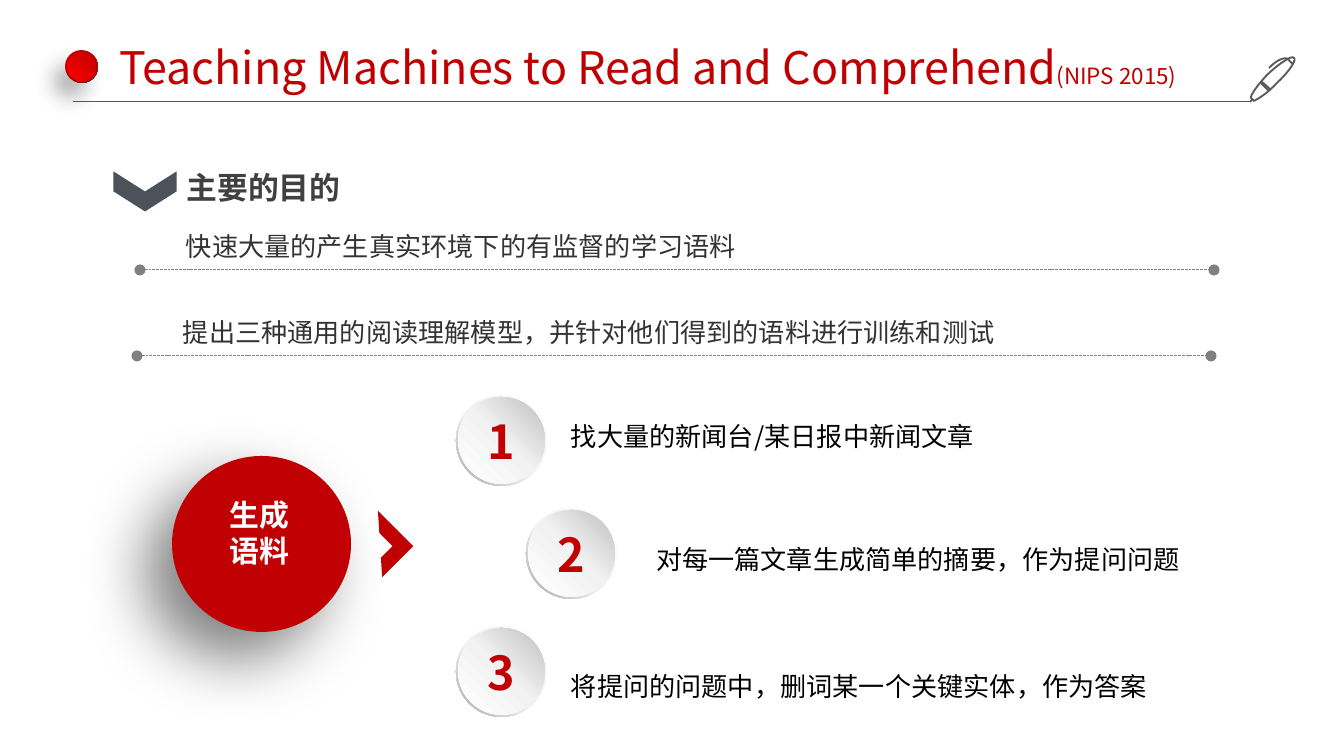
from lxml import etree
from pptx import Presentation, util as u
from pptx.dml.color import RGBColor
from pptx.enum import shapes, text
from pptx.oxml import parse_xml
from pptx.oxml.ns import nsdecls, qn

SCALE = 914400 / 134.4
FONT = "Noto Sans CJK SC"
C = {"red": "C00000", "crimson": "C00002", "bright": "FF0000", "slate": "4B525A",
     "rule": "595959", "dark": "262626", "dots": "808080", "heading": "404040",
     "body": "333333", "black": "000000", "white": "FFFFFF", "pale": "F2F2F2",
     "silver": "BFBFBF", "grey": "A6A6A6"}
SHAPE = shapes.MSO_SHAPE
ALIGN = text.PP_ALIGN

# Each stroke: a start point, then pieces of one point (line) or three (cubic curve).
PEN = [
    ((19, 36), [((11, 28),)]),
    ((12, 27), [((20, 34),)]),
    ((44, 3), [((42, 0), (30, 8), (17, 20)), ((8, 30), (1, 39), (1, 43)), ((4, 46),),
               ((8, 44), (17, 39), (27, 28)), ((39, 17), (47, 5), (44, 3))]),
    ((3, 44), [((0, 47),)]),
    ((43, 9), [((43, 9), (40, 7), (38, 4)), ((38, 4), (32, 0), (19, 13))]),
]


def px(n):
    return u.Emu(round(n * SCALE))


def rgb(name):
    return RGBColor.from_string(C[name])


def add_shape(parent, kind, x, y, w, h, color=None):
    sp = parent.add_shape(kind, px(x), px(y), px(w), px(h))
    sp.shadow.inherit = False
    sp.line.fill.background()
    if color:
        sp.fill.solid()
        sp.fill.fore_color.rgb = rgb(color)
    return sp


def set_gradient(sp, stops, angle=None):
    """Linear at a clockwise angle, or circular from the top right corner without one."""
    gs = "".join(f'<a:gs pos="{pos * 1000}"><a:srgbClr val="{C[name]}"/></a:gs>'
                 for pos, name in stops)
    if angle is None:
        way = '<a:path path="circle"><a:fillToRect l="100000" b="100000"/></a:path>'
    else:
        way = f'<a:lin ang="{angle * 60000}" scaled="0"/>'
    fill = parse_xml(f'<a:gradFill {nsdecls("a")} rotWithShape="1">'
                     f'<a:gsLst>{gs}</a:gsLst>{way}</a:gradFill>')
    sp._element.spPr.find(qn("a:prstGeom")).addnext(fill)


def set_shadow(sp, alpha, blur, dist, angle):
    effects = sp._element.spPr.find(qn("a:effectLst"))
    effects.append(parse_xml(
        f'<a:outerShdw {nsdecls("a")} blurRad="{u.Pt(blur)}" dist="{u.Pt(dist)}" '
        f'dir="{angle * 60000}" algn="ctr" rotWithShape="0"><a:srgbClr val="{C["black"]}">'
        f'<a:alpha val="{alpha * 1000}"/></a:srgbClr></a:outerShdw>'))


def style_run(r, size, color, bold=False):
    r.font.size, r.font.bold, r.font.name = u.Pt(size), bold, FONT
    r.font.color.rgb = rgb(color)
    etree.SubElement(r._r.get_or_add_rPr(), qn("a:ea")).set("typeface", FONT)


def add_text(s, words, x, y, w, h, size, color, bold=False, align=ALIGN.LEFT,
             spacing=None, inset=(10, 5)):
    tf = s.shapes.add_textbox(px(x), px(y), px(w), px(h)).text_frame
    tf.word_wrap = True
    tf.auto_size = text.MSO_AUTO_SIZE.SHAPE_TO_FIT_TEXT
    tf.margin_left = tf.margin_right = px(inset[0])
    tf.margin_top = tf.margin_bottom = px(inset[1])
    p = tf.paragraphs[0]
    p.text, p.alignment, p.line_spacing = words, align, spacing
    style_run(p.runs[0], size, color, bold)
    return p


def add_line(s, x1, x2, y, color):
    cx = s.shapes.add_connector(shapes.MSO_CONNECTOR.STRAIGHT, px(x1), px(y), px(x2), px(y))
    cx.line.color.rgb = rgb(color)
    cx.line.width = u.Pt(0.5)
    etree.SubElement(cx._element.spPr, qn("a:effectLst"))
    return cx


def pen(s, x, y):
    builder = None
    for start, pieces in PEN:
        points, last = [], start
        for piece in pieces:
            if len(piece) == 1:
                points.append(piece[0])
            else:
                for t in (i / 10 for i in range(1, 11)):
                    weights = ((1 - t) ** 3, 3 * t * (1 - t) ** 2, 3 * t * t * (1 - t), t ** 3)
                    points.append([sum(k * pt[axis] for k, pt in zip(weights, (last, *piece)))
                                   for axis in (0, 1)])
            last = piece[-1]
        if builder is None:
            builder = s.shapes.build_freeform(px(start[0]), px(start[1]))
        else:
            builder.move_to(px(start[0]), px(start[1]))
        builder.add_line_segments([(px(a), px(b)) for a, b in points], close=False)
    sp = builder.convert_to_shape(px(x), px(y))
    sp.shadow.inherit = False
    sp.fill.background()
    sp.line.color.rgb = rgb("rule")
    sp.line.width = u.Pt(1)


def title_bar(s, x, y):
    group = s.shapes.add_group_shape().shapes
    base = add_shape(group, SHAPE.OVAL, x, y + 16, 32, 32)
    set_gradient(base, [(0, "rule"), (100, "dark")])
    set_shadow(base, 32, 12, 10, 130)
    dot = add_shape(group, SHAPE.OVAL, x, y + 16, 31, 31)
    dot.line.color.rgb = rgb("red")
    dot.line.width = u.Pt(1)
    dot.fill.background()
    dot._element.spPr.remove(dot._element.spPr.find(qn("a:noFill")))
    set_gradient(dot, [(0, "red"), (100, "bright")])
    p = add_text(s, "Teaching Machines to Read and Comprehend",
                 x + 43, y, 1129, 65, 24, "red")
    venue = p.add_run()
    venue.text = "(NIPS 2015)"
    style_run(venue, 12, "red")
    add_line(s, x + 7, x + 1185, y + 67, "rule")
    pen(s, x + 1184, y + 20)


def purpose_heading(s, x, y):
    add_shape(s.shapes, SHAPE.CHEVRON, x + 12, y, 40, 63, "slate").rotation = 90
    add_text(s, "主要的目的", x + 64, y + 4, 176, 47, 16.5, "heading", bold=True)


def purpose_row(s, x, y, words):
    cx = add_line(s, x, x + 1074, y + 51, "dots")
    ln = cx.line._get_or_add_ln()
    for tag, key, value in (("prstDash", "val", "sysDash"), ("headEnd", "type", "oval"),
                            ("tailEnd", "type", "oval")):
        etree.SubElement(ln, qn("a:" + tag)).set(key, value)
    add_text(s, words, x + 36, y, 1032, 44, 14, "body", spacing=1.2)


def corpus_hub(s, x, y):
    disc = add_shape(s.shapes, SHAPE.OVAL, x, y, 179, 176, "crimson")
    set_shadow(disc, 50, 35, 20, 135)
    add_text(s, "生成语料", x + 47, y + 41, 81, 73, 16, "white", bold=True,
             align=ALIGN.CENTER, inset=(0, 0))
    add_shape(s.shapes, SHAPE.HALF_FRAME, x + 186, y + 63, 44, 50, "crimson").rotation = 135


def step(s, x, y, number, words, dx, dy, w):
    """Numbered ball at x, y with its text offset by dx, dy."""
    group = s.shapes.add_group_shape().shapes
    ring = add_shape(group, SHAPE.DONUT, x, y, 91, 91)
    ring.adjustments[0] = 0.05
    set_gradient(ring, [(0, "white"), (55, "pale"), (100, "grey")], 135)
    ball = add_shape(group, SHAPE.OVAL, x + 2, y + 2, 87, 87)
    set_gradient(ball, [(0, "white"), (51, "pale"), (100, "silver")], 315)
    tf = ball.text_frame
    tf.text = str(number)
    tf.vertical_anchor = text.MSO_ANCHOR.MIDDLE
    p = tf.paragraphs[0]
    p.alignment = ALIGN.CENTER
    style_run(p.runs[0], 25, "crimson", bold=True)
    add_text(s, words, x + dx, y + dy, w, 42, 14, "black", align=ALIGN.JUSTIFY,
             spacing=1.3, inset=(0, 0))


def main():
    prs = Presentation()
    prs.slide_width, prs.slide_height = px(1344), px(756)
    s = prs.slides.add_slide(prs.slide_layouts[6])
    title_bar(s, 66, 35)
    purpose_heading(s, 113, 160)
    purpose_row(s, 140, 219, "快速大量的产生真实环境下的有监督的学习语料")
    purpose_row(s, 137, 305, "提出三种通用的阅读理解模型，并针对他们得到的语料进行训练和测试")
    corpus_hub(s, 172, 456)
    step(s, 456, 395, 1, "找大量的新闻台/某日报中新闻文章", 115, 16, 438)
    step(s, 526, 508, 2, "对每一篇文章生成简单的摘要，作为提问问题", 130, 26, 569)
    step(s, 456, 626, 3, "将提问的问题中，删词某一个关键实体，作为答案", 115, 35, 587)
    prs.save("out.pptx")


if __name__ == "__main__":
    main()
